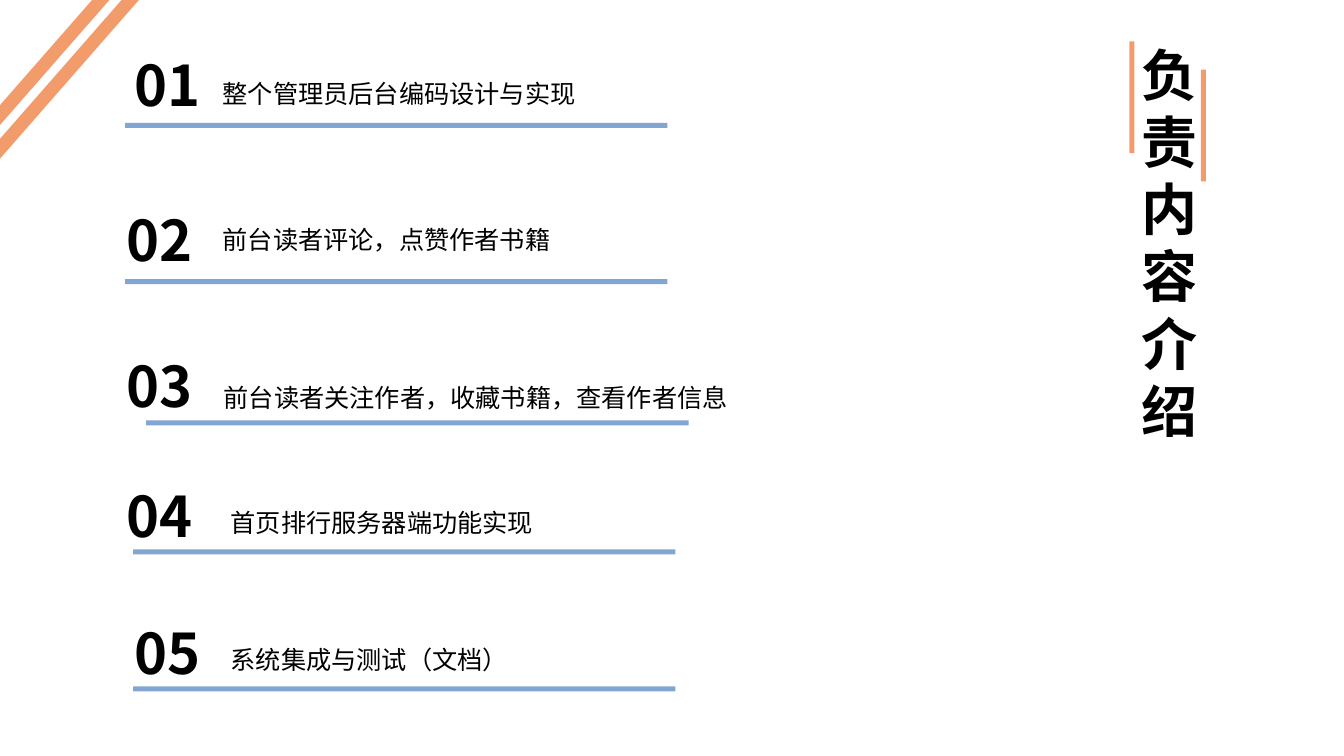
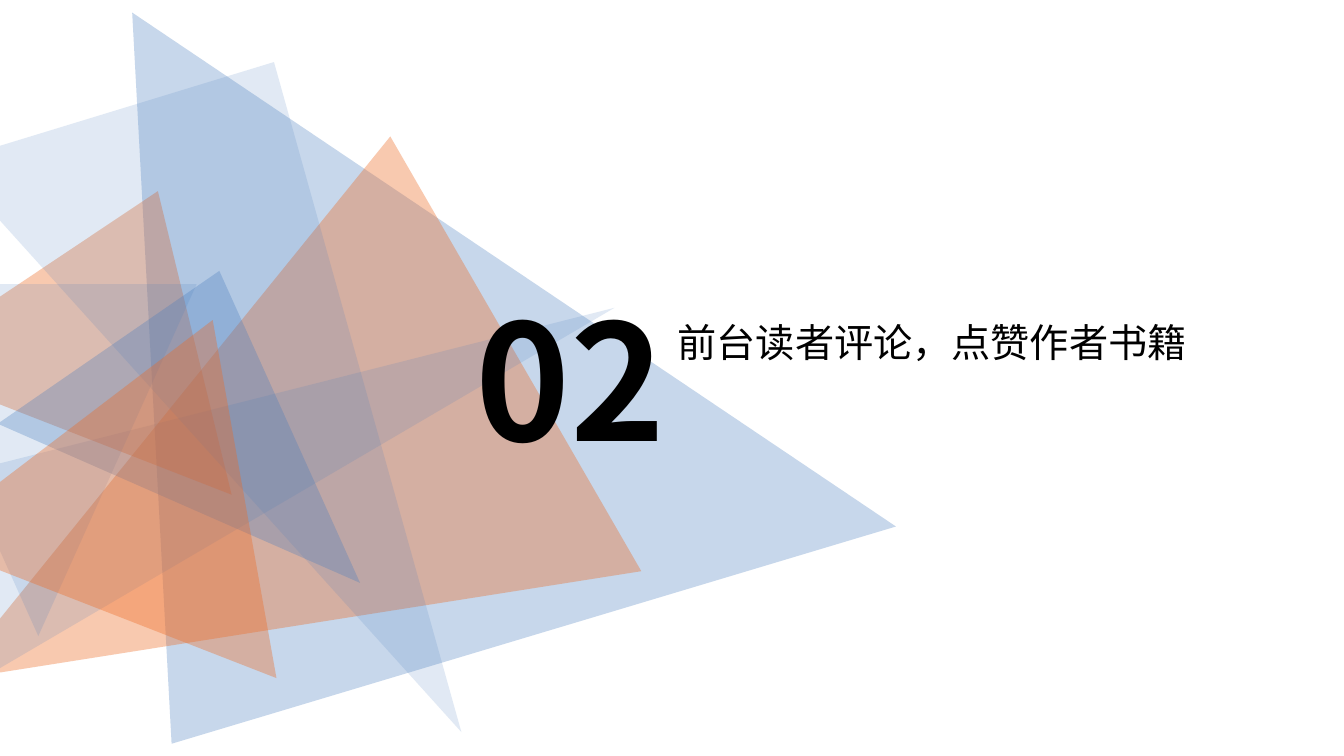
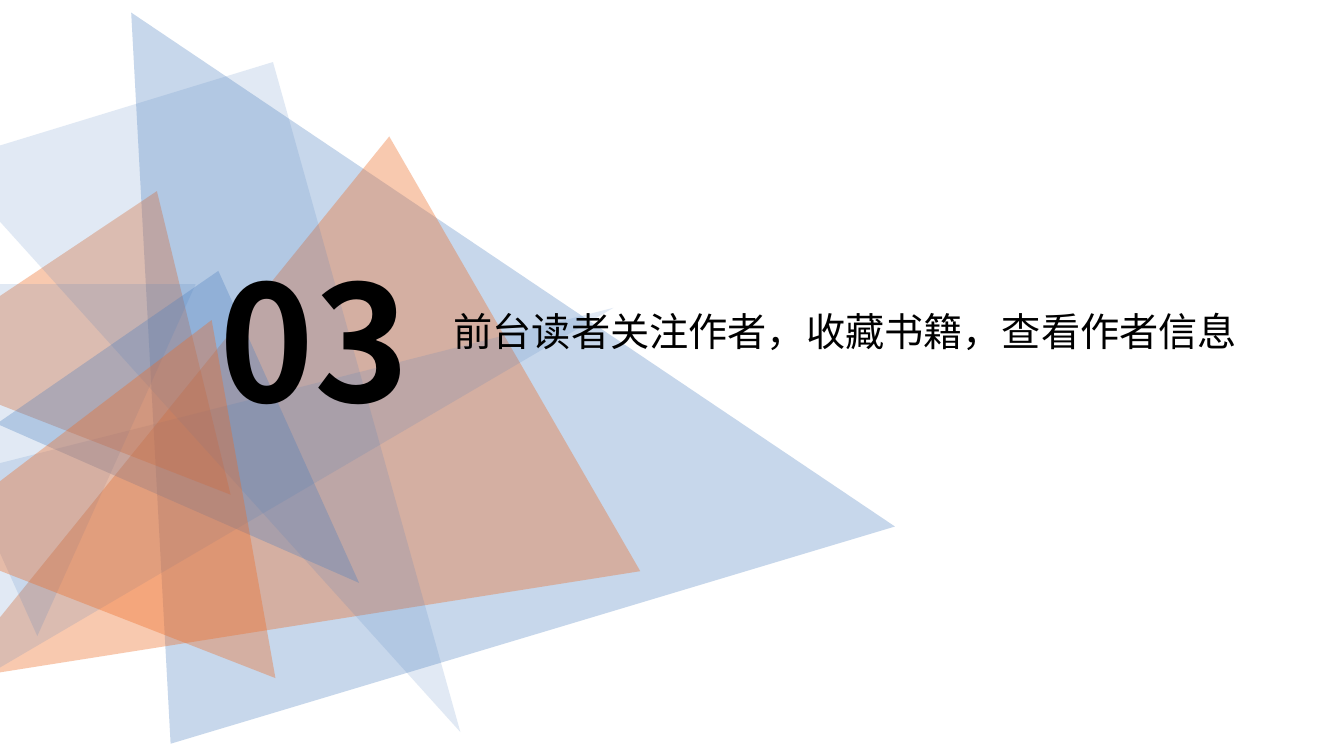
from dataclasses import dataclass
from typing import Any

from pptx import Presentation
from pptx.dml.color import RGBColor
from pptx.enum.shapes import MSO_SHAPE
from pptx.enum.text import MSO_ANCHOR, MSO_AUTO_SIZE, PP_ALIGN
from pptx.oxml.ns import qn
from pptx.util import Emu, Pt

PX = 9144
WIDTH, HEIGHT = 1333, 750
TITLE_ONLY = 5


@dataclass(frozen=True)
class Theme:
    orange: str = "ED6A23"
    blue: str = "467BBD"
    text: str = "000000"
    font: str = "Noto Sans CJK SC"
    heading_size: int = 40
    item_size: int = 18
    section_number_size: int = 115
    section_title_size: int = 28
    bar_alpha: int = 67


THEME = Theme()


@dataclass(frozen=True)
class Box:
    left: int
    top: int
    width: int
    height: int


@dataclass(frozen=True)
class Bar:
    box: Box
    color: str
    rotation: float = 0


@dataclass(frozen=True)
class Triangle:
    box: Box
    rotation: float
    color: str
    alpha: int
    apex: float = 0.5


@dataclass(frozen=True)
class Duty:
    number: str
    text: str
    number_box: Box
    text_box: Box
    rule_left: int
    rule_top: int
    number_wraps: bool = False


@dataclass(frozen=True)
class Section:
    number: str
    title: str
    number_box: Box
    title_box: Box
    shift: int = 0


ACCENT_BARS = [
    Bar(Box(-52, 68, 232, 13), THEME.orange, 311.2),
    Bar(Box(-69, 54, 232, 13), THEME.orange, 311.2),
    Bar(Box(1067, 94, 111, 5), THEME.orange, 90),
    Bar(Box(1138, 122, 111, 5), THEME.orange, 90),
]

DUTIES = [
    Duty("01", "整个管理员后台编码设计与实现",
         Box(124, 45, 109, 77), Box(211, 73, 370, 71), 124, 122, True),
    Duty("02", "前台读者评论，点赞作者书籍",
         Box(116, 199, 88, 77), Box(211, 218, 345, 40), 124, 277),
    Duty("03", "前台读者关注作者，收藏书籍，查看作者信息",
         Box(116, 344, 88, 77), Box(212, 374, 520, 40), 145, 417),
    Duty("04", "首页排行服务器端功能实现",
         Box(116, 473, 88, 77), Box(219, 498, 320, 40), 132, 545),
    Duty("05", "系统集成与测试（文档）",
         Box(124, 609, 88, 77), Box(219, 634, 295, 40), 132, 681),
]

TRIANGLES = [
    Triangle(Box(53, -61, 750, 706), 343.3, THEME.blue, 30, 0.228),
    Triangle(Box(-18, 189, 498, 648), 240, THEME.orange, 36),
    Triangle(Box(182, 86, 201, 707), 67.7, THEME.blue, 16),
    Triangle(Box(-67, 181, 355, 254), 21.3, THEME.orange, 36),
    Triangle(Box(69, 315, 267, 334), 145.4, THEME.blue, 30, 0.228),
    Triangle(Box(41, 96, 339, 690), 163, THEME.blue, 16, 0.049),
    Triangle(Box(-119, 282, 314, 349), 180, THEME.blue, 16),
    Triangle(Box(-33, 307, 376, 308), 21.3, THEME.orange, 36),
]

SECTIONS = [
    Section("02", DUTIES[1].text, Box(462, 273, 219, 204), Box(662, 311, 526, 57)),
    Section("03", DUTIES[2].text, Box(208, 235, 219, 204), Box(440, 300, 798, 57), -1),
]


def px(length: int) -> Emu:
    return Emu(length * PX)


def set_attributes(target: Any, values: dict[str, Any]) -> None:
    for name, value in values.items():
        setattr(target, name, value)


def place(shape: Any, box: Box) -> None:
    set_attributes(shape, {
        "left": px(box.left), "top": px(box.top),
        "width": px(box.width), "height": px(box.height),
    })


def write_text(shape: Any, text: str, size: int, bold: bool = False, wrap: bool = False) -> None:
    frame = shape.text_frame
    set_attributes(frame, {
        "text": text, "word_wrap": wrap,
        "auto_size": MSO_AUTO_SIZE.SHAPE_TO_FIT_TEXT,
        "vertical_anchor": MSO_ANCHOR.TOP,
    })
    paragraph = frame.paragraphs[0]
    paragraph.alignment = PP_ALIGN.LEFT
    run = paragraph.runs[0]
    set_attributes(run.font, {"size": Pt(size), "bold": bold, "name": THEME.font})
    run.font.color.rgb = RGBColor.from_string(THEME.text)
    properties = run.font._element
    east_asian = properties.makeelement(qn("a:ea"), {"typeface": THEME.font})
    properties.find(qn("a:latin")).addnext(east_asian)


def add_text(slide: Any, box: Box, text: str, size: int, bold: bool = False,
             wrap: bool = False) -> None:
    shape = slide.shapes.add_textbox(0, 0, 0, 0)
    write_text(shape, text, size, bold, wrap)
    place(shape, box)


def add_title(slide: Any, box: Box, text: str, size: int, bold: bool = False,
              wrap: bool = False) -> None:
    title = slide.shapes.title
    write_text(title, text, size, bold, wrap)
    place(title, box)
    title._element.getparent().append(title._element)


def add_tinted(shapes: Any, kind: MSO_SHAPE, box: Box, color: str, alpha: int,
               rotation: float) -> Any:
    shape = shapes.add_shape(kind, 0, 0, 0, 0)
    place(shape, box)
    shape.rotation = rotation
    shape.shadow.inherit = False
    shape.line.fill.background()
    shape.fill.solid()
    shape.fill.fore_color.rgb = RGBColor.from_string(color)
    fill_color = shape._element.spPr.find(qn("a:solidFill"))[0]
    fill_color.append(fill_color.makeelement(qn("a:alpha"), {"val": str(alpha * 1000)}))
    return shape


def add_bar(slide: Any, bar: Bar) -> None:
    add_tinted(slide.shapes, MSO_SHAPE.RECTANGLE, bar.box, bar.color,
               THEME.bar_alpha, bar.rotation)


def add_triangles(slide: Any, shift: int) -> None:
    group = slide.shapes.add_group_shape()
    for triangle in TRIANGLES:
        shape = add_tinted(group.shapes, MSO_SHAPE.ISOSCELES_TRIANGLE, triangle.box,
                           triangle.color, triangle.alpha, triangle.rotation)
        shape.adjustments[0] = triangle.apex
        shape.left += px(shift)


def add_duty(slide: Any, duty: Duty) -> None:
    add_text(slide, duty.number_box, duty.number, THEME.heading_size, True, duty.number_wraps)
    add_bar(slide, Bar(Box(duty.rule_left, duty.rule_top, 538, 5), THEME.blue))
    add_text(slide, duty.text_box, duty.text, THEME.item_size)


def build_duties_slide(presentation: Any) -> None:
    slide = presentation.slides.add_slide(presentation.slide_layouts[TITLE_ONLY])
    for bar in ACCENT_BARS:
        add_bar(slide, bar)
    add_title(slide, Box(1122, 35, 66, 414), "负责内容介绍", THEME.heading_size, True, True)
    for duty in DUTIES:
        add_duty(slide, duty)


def build_section_slide(presentation: Any, section: Section) -> None:
    slide = presentation.slides.add_slide(presentation.slide_layouts[TITLE_ONLY])
    add_triangles(slide, section.shift)
    add_text(slide, section.number_box, section.number, THEME.section_number_size, True)
    add_title(slide, section.title_box, section.title, THEME.section_title_size)


def main() -> None:
    presentation = Presentation()
    set_attributes(presentation, {"slide_width": px(WIDTH), "slide_height": px(HEIGHT)})
    build_duties_slide(presentation)
    for section in SECTIONS:
        build_section_slide(presentation, section)
    presentation.save("out.pptx")


if __name__ == "__main__":
    main()
